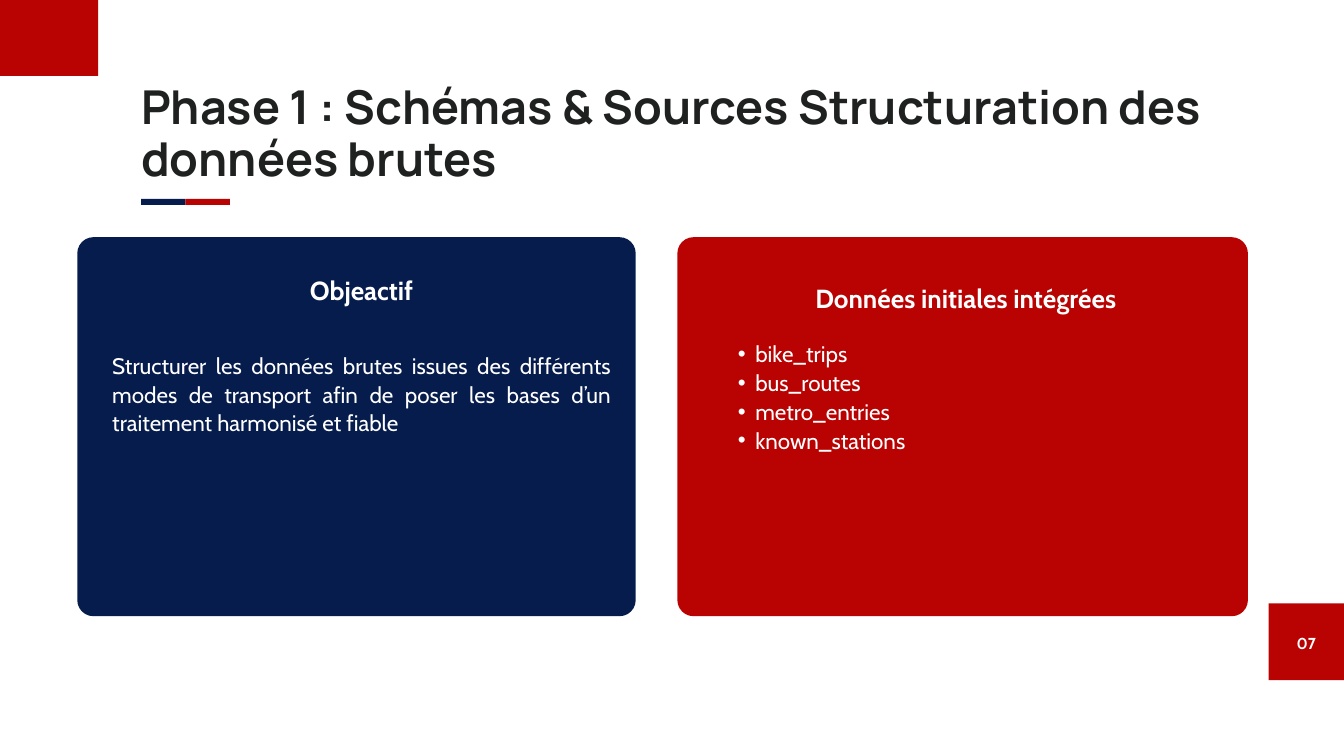
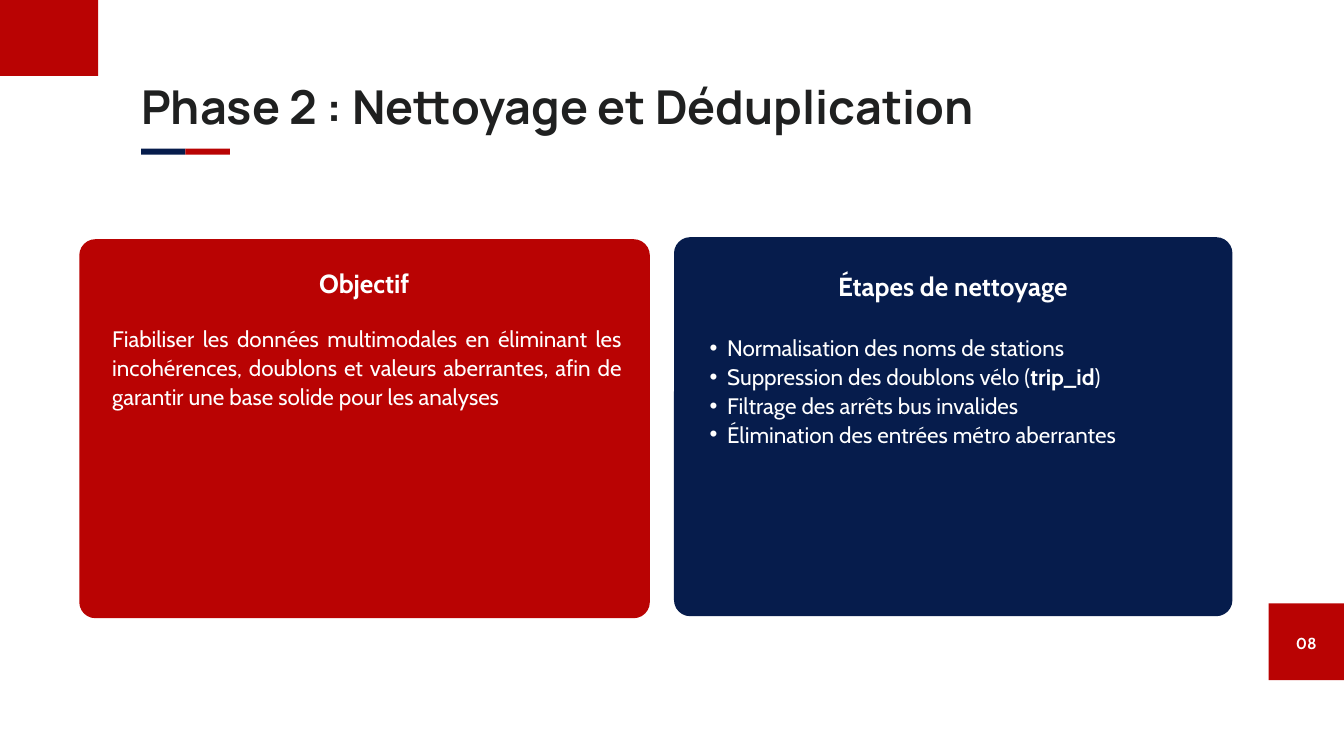
from lxml.etree import SubElement
from pptx import Presentation
from pptx.dml.color import RGBColor
from pptx.enum.shapes import MSO_SHAPE as SHAPE
from pptx.enum.text import MSO_ANCHOR, MSO_AUTO_SIZE, PP_ALIGN as ALIGN
from pptx.oxml.ns import qn
from pptx.util import Inches, Pt

RED = RGBColor(0xB9, 0x03, 0x03)
NAVY = RGBColor(0x06, 0x1C, 0x4C)
INK = RGBColor(0x1F, 0x20, 0x20)
WHITE = RGBColor(0xFF, 0xFF, 0xFF)
TITLE_FONT, BODY_FONT = "Manrope", "Cabin"
CARD_H, CARD_RADIUS = 5.64, 0.24
TITLE_X, TITLE_Y, TITLE_W = 2.1, 1.21, 16.59


def add_block(s, box, color, radius=0):
    kind = SHAPE.ROUNDED_RECTANGLE if radius else SHAPE.RECTANGLE
    sp = s.shapes.add_shape(kind, *map(Inches, box))
    if radius:
        sp.adjustments[0] = radius / min(box[2:])
    sp.shadow.inherit = False
    sp.fill.solid()
    sp.fill.fore_color.rgb = color
    sp.line.fill.background()
    return sp


def add_run(p, text, size, color=WHITE, bold=False, font=BODY_FONT):
    r = p.add_run()
    r.text = text
    r.font.name, r.font.size, r.font.bold = font, Pt(size), bold
    r.font.color.rgb = color


def reset_frame(tf):
    tf.margin_left = tf.margin_top = tf.margin_right = tf.margin_bottom = 0
    tf.word_wrap = True
    tf.auto_size = MSO_AUTO_SIZE.NONE
    tf.vertical_anchor = MSO_ANCHOR.TOP


def set_bullet(p):
    p_pr = p._p.get_or_add_pPr()
    p_pr.set("marL", str(Inches(0.52)))
    p_pr.set("indent", str(Inches(-0.26)))
    SubElement(p_pr, qn("a:buFont"), typeface="Arial")
    SubElement(p_pr, qn("a:buChar"), char="•")


def add_text(s, box, paragraphs, size, leading, align, bold=False, bullets=False):
    """Each paragraph is a list of (text, bold) runs, or a plain string."""
    tf = s.shapes.add_textbox(*map(Inches, box)).text_frame
    reset_frame(tf)
    for i, runs in enumerate(paragraphs):
        p = tf.add_paragraph() if i else tf.paragraphs[0]
        p.alignment = align
        p.line_spacing = Pt(leading)
        if bullets:
            set_bullet(p)
        if isinstance(runs, str):
            runs = [(runs, bold)]
        for text, run_bold in runs:
            add_run(p, text, size, bold=run_bold)


def add_title(s, text, lines):
    height = 0.04 + 0.77 * lines
    title = s.shapes.title
    title.left, title.top = Inches(TITLE_X), Inches(TITLE_Y)
    title.width, title.height = Inches(TITLE_W), Inches(height)
    reset_frame(title.text_frame)
    p = title.text_frame.paragraphs[0]
    p.alignment = ALIGN.LEFT
    p.line_spacing = Pt(56)
    add_run(p, text, 50, INK, True, TITLE_FONT)
    # Two-colour rule under the title
    rule_y = 2.21 + 0.75 * (lines - 1)
    for i, color in enumerate((NAVY, RED)):
        add_block(s, (TITLE_X + 0.66 * i, rule_y, 0.66, 0.09), color)


def add_frame(s, number):
    # Corner block and page number
    add_block(s, (0, 0, 1.46, 1.13), RED)
    add_block(s, (18.88, 8.98, 1.12, 1.14), RED)
    add_text(s, (19.13, 9.38, 0.62, 0.31), [f"{number:02d}"], 17, 23.8,
             ALIGN.CENTER, bold=True)


def add_card(s, box, color, heading, heading_box, body, body_box, bullets=False):
    """Text boxes are (left, top, width, height) from the card's corner."""
    x, y = box[:2]

    def inside(part):
        return (x + part[0], y + part[1], *part[2:])

    add_block(s, box, color, CARD_RADIUS)
    add_text(s, inside(heading_box), [heading], 28, 36.4, ALIGN.CENTER, bold=True)
    add_text(s, inside(body_box), body, 24, 30.8, ALIGN.JUSTIFY, bullets=bullets)


def add_phase(prs, number, title, lines, cards):
    s = prs.slides.add_slide(prs.slide_layouts[5])
    add_title(s, title, lines)
    add_frame(s, number)
    for card in cards:
        add_card(s, **card)


def main():
    prs = Presentation()
    prs.slide_width, prs.slide_height = Inches(20), Inches(11.25)

    # Phase 1: goal and source tables
    add_phase(prs, 7, "Phase 1 : Schémas & Sources Structuration des données brutes", 2, [
        dict(box=(1.15, 3.53, 8.31, CARD_H), color=NAVY,
             heading="Objeactif", heading_box=(3.36, 0.52, 1.74, 0.48),
             body=["Structurer les données brutes issues des différents modes de "
                   "transport afin de poser les bases d’un traitement harmonisé et fiable"],
             body_box=(0.52, 1.68, 7.42, 1.28)),
        dict(box=(10.08, 3.53, 8.49, CARD_H), color=RED,
             heading="Données initiales intégrées", heading_box=(1.21, 0.64, 6.16, 0.48),
             body=["bike_trips", "bus_routes", "metro_entries", "known_stations"],
             body_box=(0.64, 1.51, 6.43, 1.74), bullets=True),
    ])

    # Phase 2: goal and cleaning steps
    add_phase(prs, 8, "Phase 2 : Nettoyage et Déduplication", 1, [
        dict(box=(1.18, 3.56, 8.49, CARD_H), color=RED,
             heading="Objectif", heading_box=(3.49, 0.38, 1.5, 0.48),
             body=["Fiabiliser les données multimodales en éliminant les incohérences, "
                   "doublons et valeurs aberrantes, afin de garantir une base solide "
                   "pour les analyses"],
             body_box=(0.49, 1.25, 7.58, 1.72)),
        dict(box=(10.03, 3.53, 8.31, CARD_H), color=NAVY,
             heading="Étapes de nettoyage", heading_box=(2.28, 0.46, 3.74, 0.48),
             body=["Normalisation des noms de stations",
                   [("Suppression des doublons vélo (", False), ("trip_id", True),
                    (")", False)],
                   "Filtrage des arrêts bus invalides",
                   "Élimination des entrées métro aberrantes"],
             body_box=(0.27, 1.42, 7.93, 1.71), bullets=True),
    ])

    prs.save("out.pptx")


if __name__ == "__main__":
    main()
